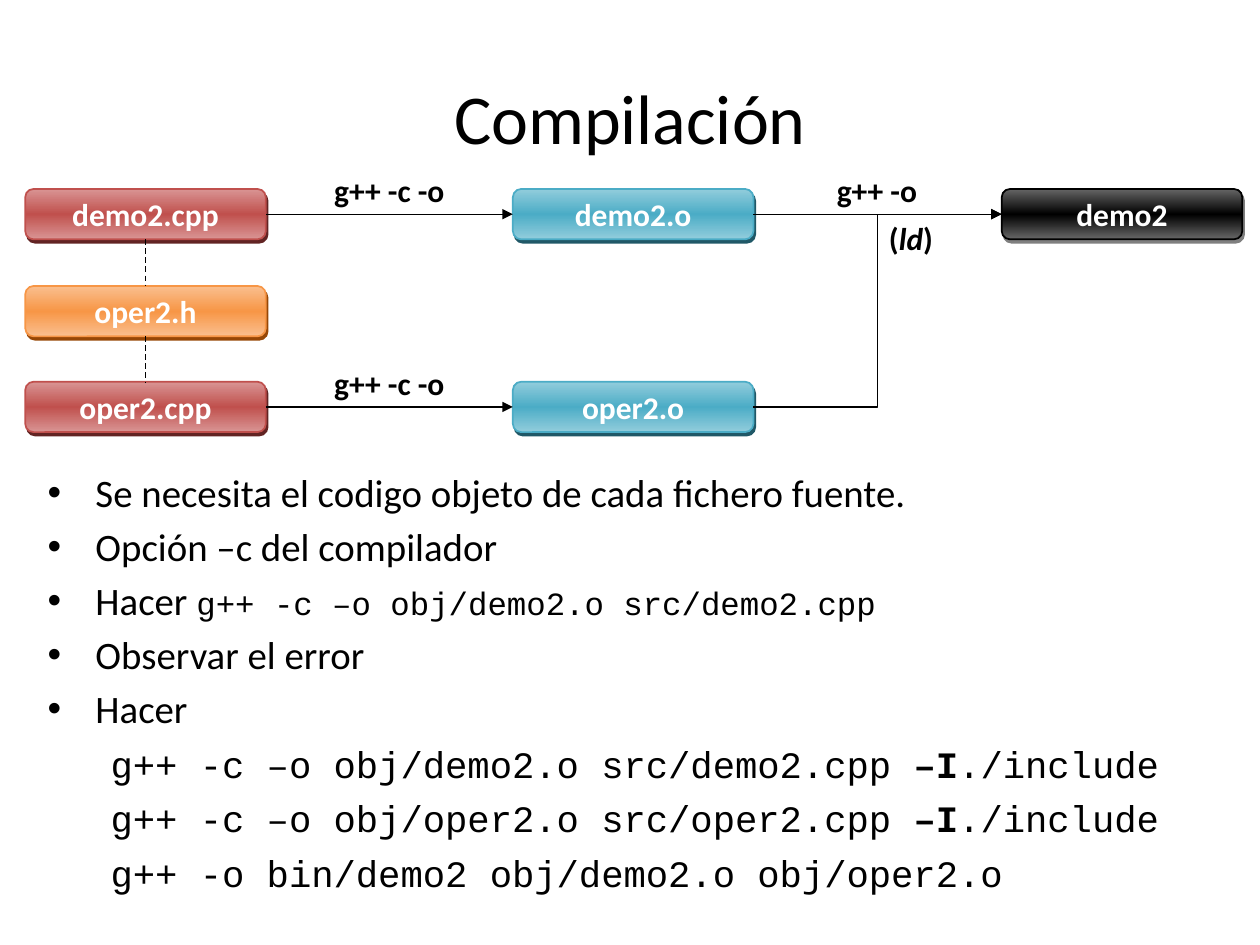
from dataclasses import dataclass

from pptx import Presentation
from pptx.dml.color import RGBColor
from pptx.enum.dml import MSO_LINE as Dash
from pptx.enum.shapes import MSO_CONNECTOR as Conn, MSO_SHAPE as Shape
from pptx.enum.text import MSO_ANCHOR as Anchor, PP_ALIGN as Align
from pptx.oxml import parse_xml
from pptx.oxml.ns import nsdecls
from pptx.util import Inches, Pt


@dataclass(frozen=True)
class Theme:
    sans: str = "Calibri"
    mono: str = "Courier New"
    ink: str = "000000"
    white: str = "FFFFFF"
    # Box colours: edge, middle, shadow
    red: tuple = ("D99594", "C0504D", "622423")
    blue: tuple = ("92CDDC", "4BACC6", "205867")
    amber: tuple = ("FABF8F", "F79646", "974706")
    black: tuple = ("666666", "000000", "7F7F7F")
    title: float = 40
    body: float = 22.2
    code: float = 21.3
    small: float = 18.5
    label: float = 18


T = Theme()
BOXW, BOXH = 1.91, 0.4
COLS = (0.2, 4.07, 7.95)
ROWS = (1.5, 2.27, 3.03)


def write(para, *runs, size=T.body, font=T.sans, color=T.ink, bold=False,
          align=Align.LEFT, before=0):
    """Each run is a string or a pair of a string and its own format."""
    para.alignment = align
    para.space_before = Pt(before)
    for item in runs:
        text, own = (item, {}) if isinstance(item, str) else item
        run = para.add_run()
        run.text = text
        face = run.font
        face.name = own.get("font", font)
        face.size = Pt(own.get("size", size))
        face.bold = own.get("bold", bold)
        face.italic = own.get("italic", False)
        face.color.rgb = RGBColor.from_string(color)


def indent(para, left, hang, bullet=None):
    props = para._p.get_or_add_pPr()
    props.set("marL", str(Inches(left)))
    props.set("indent", str(Inches(-hang)))
    mark = f'buChar {nsdecls("a")} char="{bullet}"' if bullet else f'buNone {nsdecls("a")}'
    if bullet:
        props.append(parse_xml(f'<a:buFont {nsdecls("a")} typeface="Arial"/>'))
    props.append(parse_xml(f"<a:{mark}/>"))


def center(frame, *runs, **fmt):
    frame.word_wrap = True
    frame.vertical_anchor = Anchor.MIDDLE
    frame.margin_left = frame.margin_right = 0
    frame.margin_top = frame.margin_bottom = 0
    write(frame.paragraphs[0], *runs, size=T.label, bold=True,
          align=Align.CENTER, **fmt)


def box(slide, col, row, name, tone):
    edge, mid, shade = tone
    item = slide.shapes.add_shape(
        Shape.ROUNDED_RECTANGLE, Inches(COLS[col]), Inches(ROWS[row]),
        Inches(BOXW), Inches(BOXH))
    item.line.color.rgb = RGBColor.from_string(mid)
    item.line.width = Pt(1)
    # Three-stop gradient
    item.fill.gradient()
    item.fill.gradient_angle = 270
    stops = item.fill._xPr.find(".//{*}gsLst")
    for stop in list(stops):
        stops.remove(stop)
    for pos, color in ((0, edge), (50, mid), (100, edge)):
        stops.append(parse_xml(
            f'<a:gs {nsdecls("a")} pos="{pos * 1000}">'
            f'<a:srgbClr val="{color}"/></a:gs>'))
    # Hard shadow below right
    item.shadow.inherit = False
    item._element.spPr.find("{*}effectLst").append(parse_xml(
        f'<a:outerShdw {nsdecls("a")} blurRad="0" dist="{Pt(2.2)}" '
        f'dir="{63 * 60000}" algn="ctr" rotWithShape="0">'
        f'<a:srgbClr val="{shade}"/></a:outerShdw>'))
    center(item.text_frame, name, color=T.white)


def link(slide, start, end, kind=Conn.STRAIGHT, dashed=False):
    wire = slide.shapes.add_connector(kind, *map(Inches, start + end))
    wire.line.color.rgb = RGBColor.from_string(T.ink)
    wire.line.width = Pt(0.75)
    if dashed:
        wire.line.dash_style = Dash.DASH
    else:
        wire.line._get_or_add_ln().append(
            parse_xml(f'<a:tailEnd {nsdecls("a")} type="triangle"/>'))
    wire._element.spPr.append(parse_xml(f'<a:effectLst {nsdecls("a")}/>'))


def label(slide, left, top, *runs):
    area = slide.shapes.add_textbox(
        Inches(left), Inches(top), Inches(1.38), Inches(0.38))
    center(area.text_frame, *runs)


def head(slide, text):
    title = slide.shapes.title
    title.left, title.top = Inches(0.5), Inches(0.3)
    title.width, title.height = Inches(9), Inches(1.25)
    title.text_frame.vertical_anchor = Anchor.MIDDLE
    write(title.text_frame.paragraphs[0], text, size=T.title, align=Align.CENTER)


def notes(slide):
    frame = slide.shapes.add_textbox(
        Inches(0.28), Inches(3.67), Inches(9.53), Inches(3.83)).text_frame
    frame.word_wrap = True
    code = {"font": T.mono, "size": T.small}
    points = (
        ("Se necesita el codigo objeto de cada fichero fuente.",),
        ("Opción –c del compilador",),
        ("Hacer ", ("g++ -c –o obj/demo2.o src/demo2.cpp", code)),
        ("Observar el error",),
        ("Hacer",),
    )
    flag = (("–I", {"bold": True}), "./include")
    steps = (
        ("g++ -c –o obj/demo2.o src/demo2.cpp ", *flag),
        ("g++ -c –o obj/oper2.o src/oper2.cpp ", *flag),
        ("g++ -o bin/demo2 obj/demo2.o obj/oper2.o",),
    )
    paras = [frame.paragraphs[0]]
    paras += [frame.add_paragraph() for _ in (points + steps)[1:]]
    for para, runs in zip(paras, points):
        write(para, *runs, before=4.2)
        indent(para, 0.38, 0.38, "•")
    for para, runs in zip(paras[len(points):], steps):
        write(para, *runs, size=T.code, font=T.mono, before=5.6)
        para.level = 1
        # First line starts at the hanging position
        indent(para, 0.81, 0.31)


def chart(slide):
    # Files
    for col, row, name, tone in (
            (0, 0, "demo2.cpp", T.red), (1, 0, "demo2.o", T.blue),
            (0, 2, "oper2.cpp", T.red), (1, 2, "oper2.o", T.blue),
            (0, 1, "oper2.h", T.amber), (2, 0, "demo2", T.black)):
        box(slide, col, row, name, tone)
    # Compile and link steps
    goal = (COLS[2], ROWS[0] + BOXH / 2)
    for row in (2, 0):
        mid = ROWS[row] + BOXH / 2
        link(slide, (COLS[1] + BOXW, mid), goal, Conn.ELBOW)
        link(slide, (COLS[0] + BOXW, mid), (COLS[1], mid))
        label(slide, 2.4, ROWS[row] - 0.18, "g++ -c -o")
    # Included header
    axis = COLS[0] + BOXW / 2
    for upper, lower in zip(ROWS, ROWS[1:]):
        link(slide, (axis, upper + BOXH), (axis, lower), dashed=True)
    label(slide, 6.27, 1.32, "g++ -o")
    label(slide, 6.54, 1.7, "(", ("ld", {"italic": True}), ")")


def main():
    deck = Presentation()
    deck.slide_width, deck.slide_height = Inches(10), Inches(7.5)
    slide = deck.slides.add_slide(deck.slide_layouts[5])
    head(slide, "Compilación")
    notes(slide)
    chart(slide)
    deck.save("out.pptx")


main()
